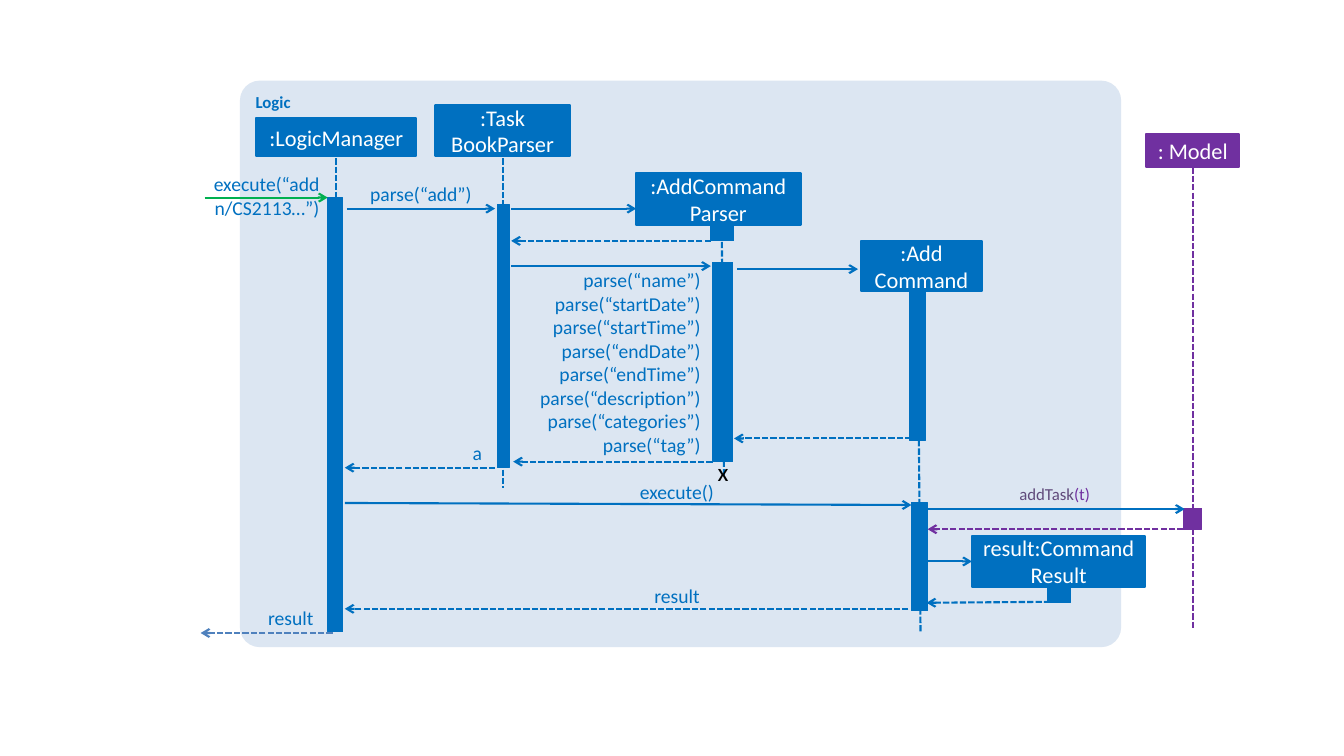
"""Build a sequence diagram slide showing how an add command is executed."""
import pptx
import pptx.dml.color
import pptx.enum.dml
import pptx.enum.shapes
import pptx.enum.text
import pptx.oxml
import pptx.oxml.ns
import pptx.util

Inches = pptx.util.Inches
Pt = pptx.util.Pt
SHAPE = pptx.enum.shapes.MSO_SHAPE
ALIGN = pptx.enum.text.PP_ALIGN
ANCHOR = pptx.enum.text.MSO_ANCHOR
BLUE, PURPLE, GREEN, WHITE = "0070C0", "7030A0", "00B050", "FFFFFF"


def rgb(value):
    """Turn a hex string into a colour."""
    return pptx.dml.color.RGBColor.from_string(value)


def add_run(p, text, size, color, bold=False):
    """Append a formatted run to a paragraph."""
    r = p.add_run()
    r.text = text
    for name, value in {"name": "Calibri", "size": Pt(size), "bold": bold}.items():
        setattr(r.font, name, value)
    r.font.color.rgb = rgb(color)


def write(tf, text, size, color, align, bold=False):
    """Write a paragraph for each line, with a line break at each vertical tab."""
    for i, line in enumerate(text.split("\n")):
        p = tf.paragraphs[0] if i == 0 else tf.add_paragraph()
        p.alignment = align
        for j, part in enumerate(line.split("\v")):
            if j:
                p.add_line_break()
            add_run(p, part, size, color, bold)


def add_box(s, box, color, weight=None, kind=SHAPE.RECTANGLE):
    """Add a filled shape, outlined in its own colour if a weight is given."""
    sp = s.shapes.add_shape(kind, *map(Inches, box))
    sp.shadow.inherit = False
    sp.fill.solid()
    sp.fill.fore_color.rgb = rgb(color)
    if weight:
        sp.line.color.rgb = rgb(color)
        sp.line.width = Pt(weight)
    else:
        sp.line.fill.background()
    return sp


def add_frame(s, box, title):
    """Add the rounded component frame with its title."""
    sp = add_box(s, box, "DCE6F2", kind=SHAPE.ROUNDED_RECTANGLE)
    sp.adjustments[0] = 0.035
    sp.text_frame.vertical_anchor = ANCHOR.TOP
    write(sp.text_frame, title, 12, BLUE, ALIGN.LEFT, bold=True)


def add_participant(s, box, name, color=BLUE):
    """Add a participant header box."""
    tf = add_box(s, box, color, 1.5).text_frame
    tf.word_wrap = True
    tf.vertical_anchor = ANCHOR.MIDDLE
    write(tf, name, 16, WHITE, ALIGN.CENTER)


def add_line(s, ends, color=BLUE, dashed=False, arrow=True):
    """Add a straight line, by default with an arrowhead at its end."""
    straight = pptx.enum.shapes.MSO_CONNECTOR.STRAIGHT
    c = s.shapes.add_connector(straight, *map(Inches, ends))
    c.line.color.rgb = rgb(color)
    c.line.width = Pt(1.5)
    if dashed:
        c.line.dash_style = pptx.enum.dml.MSO_LINE.SQUARE_DOT
    qn = pptx.oxml.ns.qn
    props = c._element.spPr
    if arrow:
        tail = props.makeelement(qn("a:tailEnd"), {"type": "arrow"})
        props.find(qn("a:ln")).append(tail)
    props.append(props.makeelement(qn("a:effectLst"), {}))


def add_label(s, box, text, size=14, color=BLUE):
    """Add a right-aligned message label and return its text frame."""
    tf = s.shapes.add_textbox(*map(Inches, box)).text_frame
    fmt = {"word_wrap": True,
           "auto_size": pptx.enum.text.MSO_AUTO_SIZE.SHAPE_TO_FIT_TEXT,
           "margin_left": 0, "margin_right": 0, "margin_top": 0, "margin_bottom": 0}
    for name, value in fmt.items():
        setattr(tf, name, value)
    write(tf, text, size, color, ALIGN.RIGHT)
    return tf


def add_destroy_mark(s, box):
    """Add the cross that ends a lifeline."""
    tf = s.shapes.add_textbox(*map(Inches, box)).text_frame
    tf.word_wrap = True
    write(tf, "x", 18, "000000", ALIGN.JUSTIFY)


def main():
    """Build the slide and save it."""
    prs = pptx.Presentation()
    prs.slide_width, prs.slide_height = Inches(13.33), Inches(7.5)
    s = prs.slides.add_slide(prs.slide_layouts[6])
    add_frame(s, (2.38, 0.8, 8.74, 5.62), "Logic")

    lifelines = [
        ((3.33, 1.57, 3.33, 5.38), BLUE), ((4.99, 1.57, 4.99, 4.84), BLUE),
        ((7.16, 2.4, 7.18, 4.72), BLUE), ((9.1, 2.78, 9.13, 6.27), BLUE),
        ((11.83, 1.66, 11.83, 6.25), PURPLE),
    ]
    for ends, color in lifelines:
        add_line(s, ends, color, dashed=True, arrow=False)

    activations = [
        (3.25, 1.96, 0.15, 4.31), (4.93, 2.03, 0.12, 2.61), (7.05, 2.24, 0.23, 0.15),
        (7.07, 2.6, 0.2, 1.98), (9.02, 2.78, 0.16, 1.59), (9.04, 4.99, 0.16, 1.07),
        (10.39, 5.83, 0.23, 0.15),
    ]
    for box in activations:
        add_box(s, box, BLUE, 0.75)
    add_box(s, (11.74, 5.04, 0.18, 0.21), PURPLE, 0.75)

    participants = [
        ((2.54, 1.17, 1.59, 0.38), ":LogicManager"),
        ((4.32, 1.04, 1.33, 0.51), ":Task\nBookParser"),
        ((6.31, 1.72, 1.63, 0.51), ":AddCommand Parser"),
        ((8.54, 2.39, 1.2, 0.5), ":Add\vCommand"),
        ((9.64, 5.32, 1.72, 0.5), "result:Command Result"),
    ]
    for box, name in participants:
        add_participant(s, box, name)
    add_participant(s, (11.37, 1.33, 0.92, 0.33), ": Model", PURPLE)

    calls = [
        (3.44, 2.07, 4.91, 2.07), (5.07, 2.07, 6.31, 2.07), (5.07, 2.64, 7.05, 2.64),
        (7.31, 2.67, 8.51, 2.67), (3.42, 4.99, 9.04, 5.01), (9.18, 5.05, 11.75, 5.05),
        (9.1, 5.57, 9.64, 5.57),
    ]
    for ends in calls:
        add_line(s, ends)
    add_line(s, (2.03, 1.96, 3.25, 1.96), GREEN)

    returns = [
        ((7.05, 2.39, 5.07, 2.39), BLUE), ((9.04, 4.35, 7.28, 4.35), BLUE),
        ((7.07, 4.58, 5.09, 4.58), BLUE), ((4.91, 4.64, 3.42, 4.64), BLUE),
        ((11.74, 5.25, 9.2, 5.25), PURPLE), ((10.5, 5.97, 9.19, 5.98), BLUE),
        ((9.01, 6.04, 3.42, 6.04), BLUE), ((3.3, 6.28, 1.99, 6.28), "4F81BD"),
    ]
    for ends, color in returns:
        add_line(s, ends, color, dashed=True)

    fields = ["startTime", "endDate", "endTime", "description", "categories", "tag"]
    parses = ["parse(“name”) parse(“startDate”)"] + [f"parse(“{f}”)" for f in fields]
    labels = [
        ((1.83, 1.71, 1.34, 0.47), "execute(“add n/CS2113…”)"),
        ((3.41, 1.8, 1.27, 0.24), "parse(“add”)"),
        ((5.07, 2.66, 1.88, 1.88), "\n".join(parses)),
        ((4.54, 4.37, 0.24, 0.24), "a"),
        ((6.14, 4.76, 0.94, 0.24), "execute()"),
        ((6.26, 5.79, 0.68, 0.24), "result"),
        ((2.28, 6.01, 0.83, 0.24), "result"),
    ]
    for box, text in labels:
        add_label(s, box, text)
    tf = add_label(s, (9.39, 4.8, 1.42, 0.2), "addTask", 12, "604A7B")
    add_run(tf.paragraphs[0], "(t)", 12, PURPLE)
    add_destroy_mark(s, (7.02, 4.48, 0.28, 0.4))

    prs.save("out.pptx")


if __name__ == "__main__":
    main()
